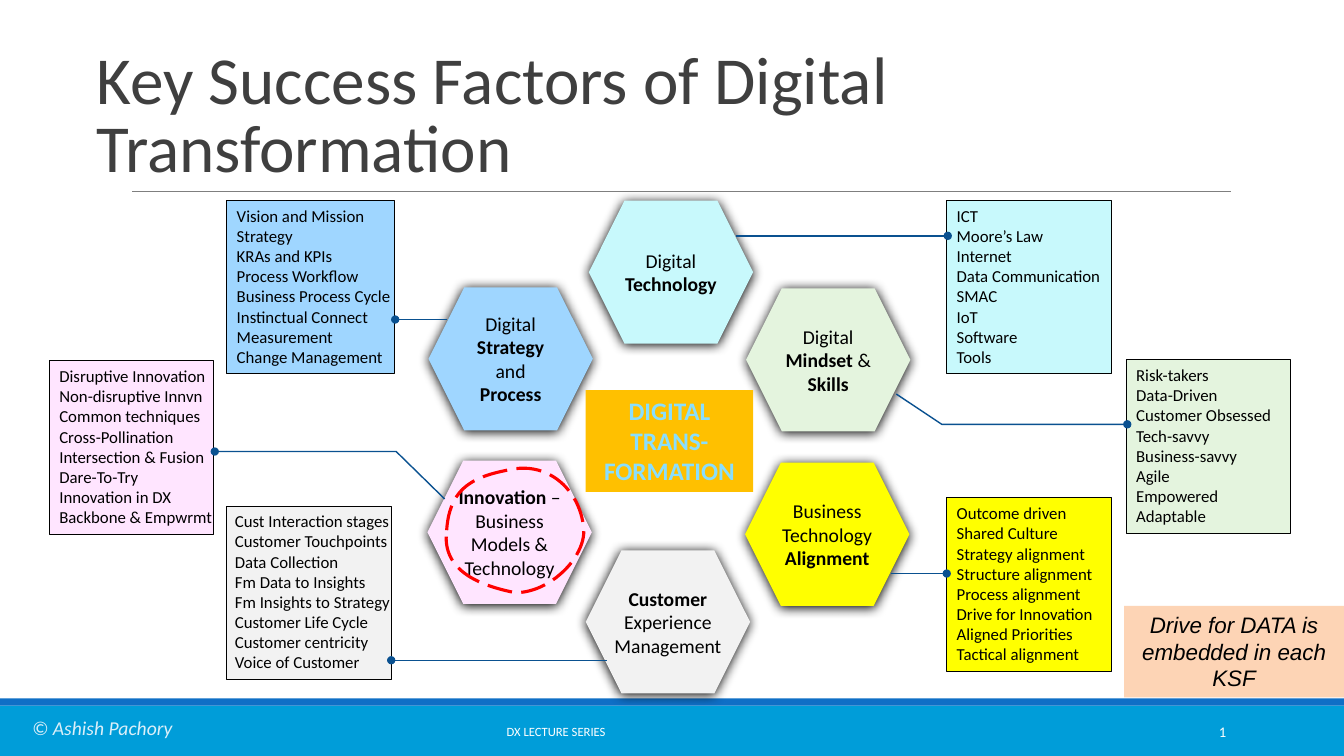
from dataclasses import dataclass

from lxml import etree
from pptx import Presentation
from pptx import util as u
from pptx.dml import color
from pptx.enum import dml, shapes, text
from pptx.oxml import ns

Spot = tuple[float, float]
Box = tuple[float, float, float, float]
BLACK = "000000"
NAVY = "0A5190"
LEFT, MID, RIGHT = text.PP_ALIGN.LEFT, text.PP_ALIGN.CENTER, text.PP_ALIGN.RIGHT
TOP, CORE, BASE = text.MSO_ANCHOR.TOP, text.MSO_ANCHOR.MIDDLE, text.MSO_ANCHOR.BOTTOM
RECT, HEX = shapes.MSO_SHAPE.RECTANGLE, shapes.MSO_SHAPE.HEXAGON
HEX_SIZE = (1.63, 1.42)
LIST_TALL = 1.72


@dataclass
class Font:
    size: float
    hue: str = BLACK
    bold: bool = False
    slant: bool = False
    face: str = "Calibri"


@dataclass
class Factor:
    words: str
    hue: str
    hex_at: Spot
    inset: float
    list_at: Spot
    wide: float
    pad: float
    items: str
    link: list[Spot]


FACTORS = [
    Factor("Digital *Technology*", "C8F9FC", (5.84, 1.99), 0, (9.39, 1.99), 1.63, 0.1,
           "ICT\nMoore’s Law\nInternet\nData Communication\nSMAC\nIoT\nSoftware\nTools",
           [(7.3, 2.34), (9.4, 2.34)]),
    Factor("Digital *Mindset* & *Skills*", "E4F4DE", (7.4, 2.86), 0.1, (11.17, 3.57), 1.63, 0.1,
           "Risk-takers\nData-Driven\nCustomer Obsessed\nTech-savvy\nBusiness-savvy\n"
           "Agile\nEmpowered\nAdaptable",
           [(8.89, 3.91), (9.34, 4.21), (11.18, 4.21)]),
    Factor("Business Technology *Alignment*", "FFFF00", (7.39, 4.59), 0.1, (9.39, 4.94), 1.63, 0.1,
           "Outcome driven\nShared Culture\nStrategy alignment\nStructure alignment\n"
           "Process alignment\nDrive for Innovation\nAligned Priorities\nTactical alignment",
           [(8.84, 5.69), (9.39, 5.69)]),
    Factor("*Customer* Experience Management", "F2F2F2", (5.81, 5.46), 0, (2.25, 5.02), 1.63, 0.08,
           "Cust Interaction stages\nCustomer Touchpoints\nData Collection\nFm Data to Insights\n"
           "Fm Insights to Strategy\nCustomer Life Cycle\nCustomer centricity\nVoice of Customer",
           [(6.02, 6.55), (3.88, 6.55)]),
    Factor("*Innovation* –Business Models &\nTechnology", "FFE5FF", (4.24, 4.57), 0,
           (0.49, 3.58), 1.63, 0.1,
           "Disruptive Innovation\nNon-disruptive Innvn\nCommon techniques\nCross-Pollination\n"
           "Intersection & Fusion\nDare-To-Try\nInnovation in DX\nBackbone & Empwrmt",
           [(4.41, 4.95), (3.93, 4.48), (2.13, 4.48)]),
    Factor("Digital *Strategy *and *Process*", "9FD6FF", (4.25, 2.85), 0.1, (2.25, 1.99), 1.66, 0.1,
           "Vision and Mission\nStrategy\nKRAs and KPIs\nProcess Workflow\nBusiness Process Cycle\n"
           "Instinctual Connect\nMeasurement\nChange Management",
           [(4.43, 3.17), (3.92, 3.17)]),
]

RING = [
    [(4.43, 5.26), (4.46, 4.83), (4.7, 4.72), (5.11, 4.65)],
    [(5.11, 4.65), (5.49, 4.6), (5.77, 4.91), (5.79, 5.26)],
    [(5.79, 5.26), (5.8, 5.53), (5.46, 5.88), (5.11, 5.88)],
    [(5.11, 5.88), (4.71, 5.8), (4.38, 5.64), (4.43, 5.26)],
]


def rgb(hue: str) -> color.RGBColor:
    return color.RGBColor.from_string(hue)


def inch(*nums: float) -> list[u.Length]:
    return [u.Inches(num) for num in nums]


def write(shape, words: str, font: Font, align=LEFT, anchor=TOP,
          left: float = 0.1, right: float = 0.1) -> None:
    frame = shape.text_frame
    frame.word_wrap = True
    frame.vertical_anchor = anchor
    frame.margin_left, frame.margin_right = inch(left, right)
    frame.margin_top, frame.margin_bottom = inch(0.05, 0.05)
    frame.text = words.replace("*", "")
    for para, row in zip(frame.paragraphs, words.split("\n")):
        para.alignment = align
        if "*" in row:
            para.clear()
            for part in row.split("*"):
                para.add_run().text = part
        for num, run in enumerate(para.runs):
            run.font.name = font.face
            run.font.size = u.Pt(font.size)
            run.font.bold = font.bold or num % 2 == 1
            run.font.italic = font.slant
            run.font.color.rgb = rgb(font.hue)


def block(page, kind, box: Box, fill: str, edge: str = ""):
    shape = page.shapes.add_shape(kind, *inch(*box))
    shape.shadow.inherit = False
    shape.fill.solid()
    shape.fill.fore_color.rgb = rgb(fill)
    if edge:
        stroke(shape, edge, 0.75)
    else:
        shape.line.fill.background()
    return shape


def label(page, box: Box, words: str, font: Font, align=LEFT, anchor=TOP):
    shape = page.shapes.add_textbox(*inch(*box))
    write(shape, words, font, align, anchor)
    return shape


def stroke(shape, hue: str, width: float) -> None:
    shape.line.color.rgb = rgb(hue)
    shape.line.width = u.Pt(width)


def glow(shape) -> None:
    effect = shape.element.spPr.find(ns.qn("a:effectLst"))
    outer = etree.SubElement(effect, ns.qn("a:outerShdw"), blurRad=str(u.Pt(8.5)),
                             dist=str(u.Pt(1)), dir="5400000", algn="ctr", rotWithShape="0")
    etree.SubElement(outer, ns.qn("a:srgbClr"), val=BLACK)


def line(page, start: Spot, end: Spot, hue: str, width: float):
    wire = page.shapes.add_connector(shapes.MSO_CONNECTOR.STRAIGHT, *inch(*start, *end))
    stroke(wire, hue, width)
    etree.SubElement(wire.element.spPr, ns.qn("a:effectLst"))
    return wire


def trace(page, spots: list[Spot], hue: str, width: float, close: bool = False):
    pen = page.shapes.build_freeform(*inch(*spots[0]))
    pen.add_line_segments([tuple(inch(*spot)) for spot in spots[1:]], close=close)
    shape = pen.convert_to_shape()
    shape.shadow.inherit = False
    shape.fill.background()
    stroke(shape, hue, width)
    return shape


def link(page, spots: list[Spot]) -> None:
    if len(spots) == 2:
        wire = line(page, spots[0], spots[1], NAVY, 1)
    else:
        wire = trace(page, spots, NAVY, 1)
    etree.SubElement(wire.element.spPr.find(ns.qn("a:ln")), ns.qn("a:tailEnd"), type="oval")


def curve(knots: list[Spot], steps: int = 24) -> list[Spot]:
    spots = []
    for step in range(steps):
        t = step / steps
        rates = ((1 - t) ** 3, 3 * t * (1 - t) ** 2, 3 * t * t * (1 - t), t ** 3)
        spots.append(tuple(sum(r * k[axis] for r, k in zip(rates, knots)) for axis in (0, 1)))
    return spots


def main() -> None:
    deck = Presentation()
    deck.slide_width, deck.slide_height = inch(13.33, 7.5)
    page = deck.slides.add_slide(deck.slide_layouts[6])

    block(page, RECT, (0, 7, 13.33, 0.5), "009DD9")
    block(page, RECT, (0, 6.93, 13.33, 0.07), "0F6FC6")
    line(page, (1.31, 1.9), (12.21, 1.9), "7F7F7F", 0.75)
    title = label(page, (0.86, 0.31, 12.02, 1.59), "Key Success Factors of Digital Transformation",
                  Font(48, "3F3F3F"), anchor=BASE)
    title.text_frame.paragraphs[0].line_spacing = 0.85
    label(page, (4.03, 7.06, 2.97, 0.4), "DX LECTURE SERIES", Font(9, "FFFFFF"), MID, CORE)
    label(page, (10.83, 7.06, 1.43, 0.4), "1", Font(10.5, "FFFFFF"), RIGHT, CORE)
    label(page, (0.22, 7.05, 2.1, 0.34), "© Ashish Pachory", Font(14, "DBEFF9", slant=True))

    for item in FACTORS:
        cell = block(page, HEX, (*item.hex_at, *HEX_SIZE), item.hue)
        glow(cell)
        write(cell, item.words, Font(14), MID, CORE, item.inset, item.inset)
    for item in FACTORS:
        card = block(page, RECT, (*item.list_at, item.wide, LIST_TALL), item.hue, BLACK)
        write(card, item.items, Font(12), left=item.pad, right=0)
        link(page, item.link)

    note = block(page, RECT, (11.15, 6.01, 2.18, 0.91), "FDD4B5")
    write(note, "Drive for DATA is embedded in each KSF", Font(16, slant=True, face="Arial"), MID)
    hub = block(page, RECT, (5.81, 3.87, 1.66, 1.01), "FFC000")
    write(hub, "DIGITAL TRANS-FORMATION", Font(18, "89DEFE", bold=True), MID)
    ring = trace(page, [spot for arc in RING for spot in curve(arc)], "FF0000", 2.25, True)
    ring.line.dash_style = dml.MSO_LINE.LONG_DASH

    deck.save("out.pptx")


if __name__ == "__main__":
    main()
